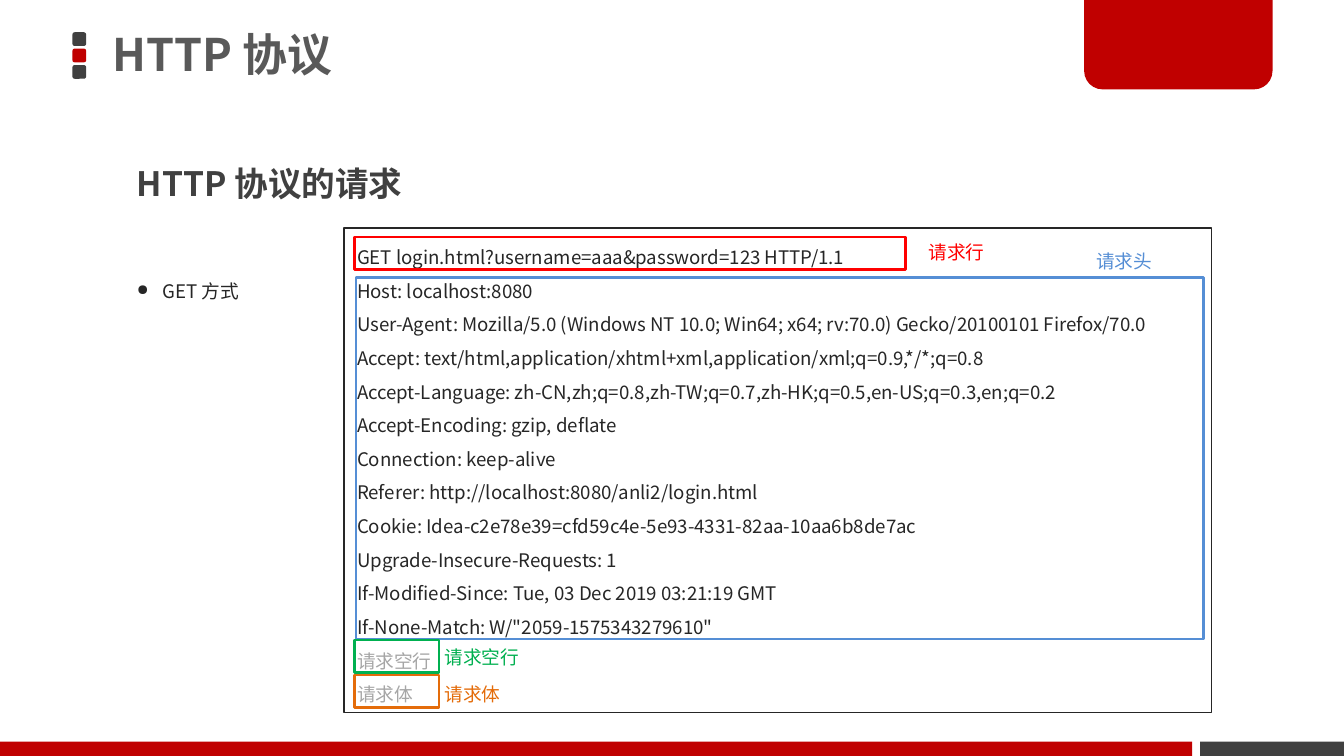
"""Build the slide on the parts of an HTTP GET request."""
import dataclasses

import pptx
import pptx.dml.color
import pptx.enum.shapes
import pptx.enum.text
import pptx.oxml.ns
import pptx.util
from lxml import etree

Cm = pptx.util.Cm
Shape = pptx.enum.shapes.MSO_SHAPE
Align = pptx.enum.text.PP_ALIGN
AutoSize = pptx.enum.text.MSO_AUTO_SIZE
Anchor = pptx.enum.text.MSO_ANCHOR
rgb = pptx.dml.color.RGBColor.from_string
qn = pptx.oxml.ns.qn


@dataclasses.dataclass(frozen=True)
class Theme:
    font: str = "Noto Sans CJK SC"
    red: str = "C00000"
    dark: str = "404040"
    title: str = "595959"
    text: str = "262626"
    muted: str = "A6A6A6"
    request_line: str = "FF0000"
    headers: str = "558ED5"
    blank_line: str = "00B050"
    body: str = "E46C0A"
    title_size: int = 24
    heading_size: int = 18
    text_size: int = 10


theme = Theme()


def draw_shape(kind, place, fill=None, line=None, width=1.5):
    shape = page.shapes.add_shape(kind, *map(Cm, place))
    shape.shadow.inherit = False
    if fill:
        shape.fill.solid()
        shape.fill.fore_color.rgb = rgb(fill)
    else:
        shape.fill.background()
    if line:
        shape.line.color.rgb = rgb(line)
        shape.line.width = pptx.util.Pt(width)
    else:
        shape.line.fill.background()
    return shape


def write_text(frame, text, size, color, bold=False, spacing=1.0):
    frame.text = text
    for para in frame.paragraphs:
        para.alignment = Align.LEFT
        para.line_spacing = spacing
        for span in para.runs:
            span.font.size = pptx.util.Pt(size)
            span.font.bold = bold
            span.font.color.rgb = rgb(color)
            span.font.name = theme.font
            east_asian = etree.SubElement(span.font._element, qn("a:ea"))
            east_asian.set("typeface", theme.font)


deck = pptx.Presentation()
deck.slide_width, deck.slide_height = Cm(25.4), Cm(14.29)
page = deck.slides.add_slide(deck.slide_layouts[5])

for index, color in enumerate((theme.dark, theme.red, theme.dark)):
    draw_shape(Shape.ROUNDED_RECTANGLE, (1.37, 0.61 + index * 0.31, 0.26, 0.26), color)
draw_shape(Shape.RECTANGLE, (22.68, 14.02, 2.72, 0.27), theme.dark)
draw_shape(Shape.RECTANGLE, (0, 14.02, 22.53, 0.27), theme.red)
corner_tab = draw_shape(Shape.ROUND_2_SAME_RECTANGLE, (20.49, -0.05, 3.56, 1.74), theme.red)
corner_tab.adjustments[0] = 0
corner_tab.adjustments[1] = 0.2

title = page.shapes.title
title.left, title.top, title.width, title.height = map(Cm, (1.75, -0.05, 14.96, 2.26))
frame = title.text_frame
frame.auto_size = AutoSize.NONE
frame.vertical_anchor = Anchor.MIDDLE
frame.margin_left = Cm(0.38)
frame.margin_top = frame.margin_bottom = Cm(0.1)
write_text(frame, "HTTP 协议", theme.title_size, theme.title, True, 0.9)

heading = page.shapes.add_textbox(*map(Cm, (2.34, 2.57, 9.75, 1.4)))
heading.text_frame.word_wrap = True
write_text(heading.text_frame, "HTTP 协议的请求", theme.heading_size, theme.dark, True, 1.5)

method = page.shapes.add_textbox(*map(Cm, (2.34, 4.95, 3.18, 0.89)))
method.text_frame.word_wrap = True
write_text(method.text_frame, "GET 方式", theme.text_size, theme.text, spacing=1.5)
properties = method.text_frame.paragraphs[0]._p.get_or_add_pPr()
properties.set("marL", str(Cm(0.48)))
properties.set("indent", str(-Cm(0.48)))
bullet_color = etree.SubElement(properties, qn("a:buClr"))
etree.SubElement(bullet_color, qn("a:srgbClr")).set("val", theme.text)
etree.SubElement(properties, qn("a:buSzPct")).set("val", "80000")
etree.SubElement(properties, qn("a:buChar")).set("char", "●")

request = """GET login.html?username=aaa&password=123 HTTP/1.1
Host: localhost:8080
User-Agent: Mozilla/5.0 (Windows NT 10.0; Win64; x64; rv:70.0) Gecko/20100101 Firefox/70.0
Accept: text/html,application/xhtml+xml,application/xml;q=0.9,*/*;q=0.8
Accept-Language: zh-CN,zh;q=0.8,zh-TW;q=0.7,zh-HK;q=0.5,en-US;q=0.3,en;q=0.2
Accept-Encoding: gzip, deflate
Connection: keep-alive
Referer: http://localhost:8080/anli2/login.html
Cookie: Idea-c2e78e39=cfd59c4e-5e93-4331-82aa-10aa6b8de7ac
Upgrade-Insecure-Requests: 1
If-Modified-Since: Tue, 03 Dec 2019 03:21:19 GMT
If-None-Match: W/"2059-1575343279610"
请求空行
请求体"""
panel = draw_shape(Shape.RECTANGLE, (6.5, 4.31, 16.4, 9.16), line=theme.text, width=0.75)
panel.text_frame.word_wrap = True
panel.text_frame.vertical_anchor = Anchor.TOP
write_text(panel.text_frame, request, theme.text_size, theme.text, spacing=1.5)
for para in panel.text_frame.paragraphs[-2:]:
    para.runs[0].font.color.rgb = rgb(theme.muted)

request_parts = (
    ("请求行", theme.request_line, (6.7, 4.48, 10.41, 0.61), (17.3, 4.42, 1.6, 0.69)),
    ("请求头", theme.headers, (6.73, 5.24, 16.02, 6.84), (20.47, 4.6, 1.6, 0.69)),
    ("请求空行", theme.blank_line, (6.7, 12.1, 1.6, 0.61), (8.15, 12.09, 1.95, 0.69)),
    ("请求体", theme.body, (6.7, 12.76, 1.6, 0.61), (8.15, 12.78, 1.6, 0.69)),
)
for name, color, outline, place in request_parts:
    draw_shape(Shape.RECTANGLE, outline, line=color)
    label = page.shapes.add_textbox(*map(Cm, place))
    label.text_frame.word_wrap = False
    label.text_frame.auto_size = AutoSize.SHAPE_TO_FIT_TEXT
    write_text(label.text_frame, name, theme.text_size, color)

deck.save("out.pptx")
